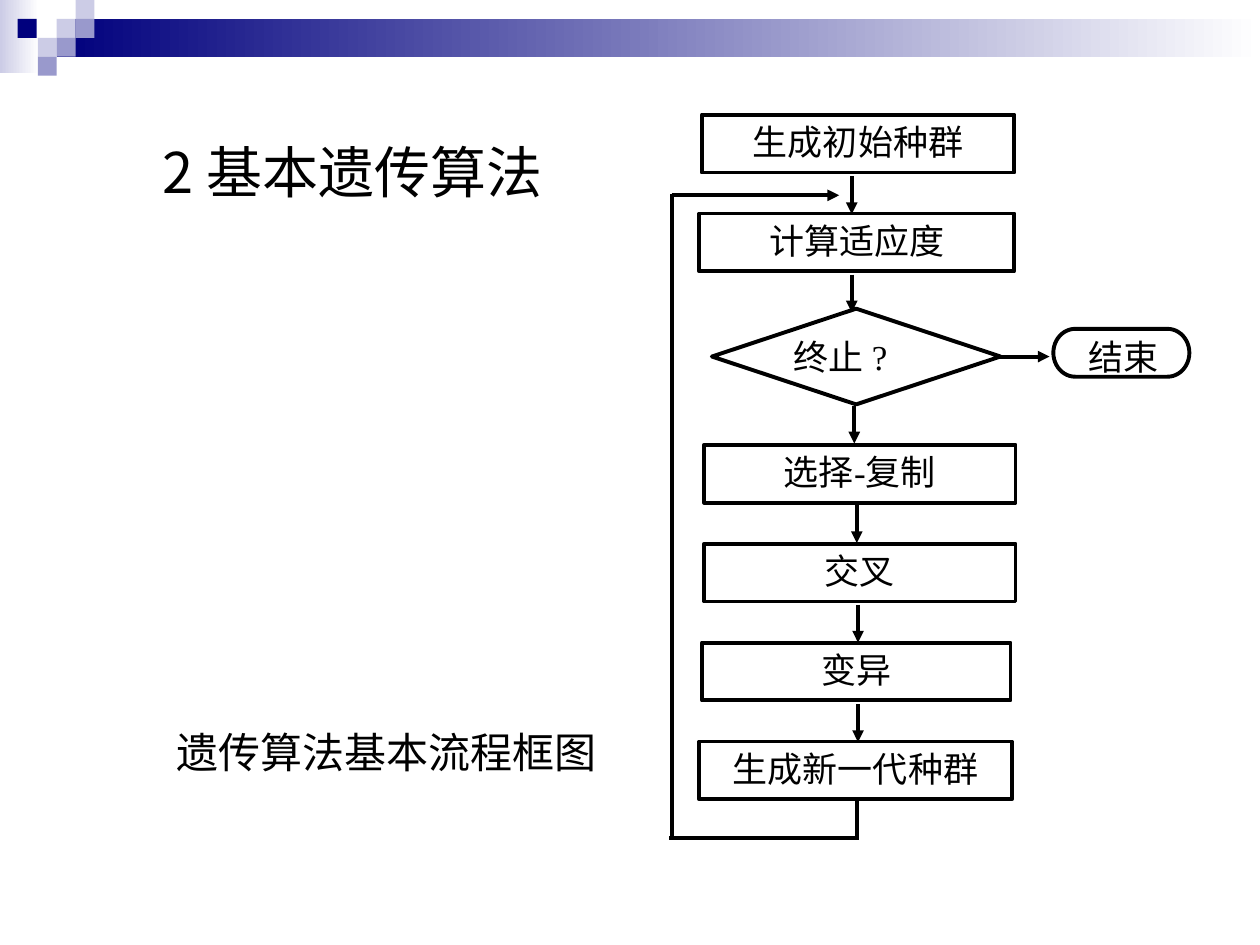
"""Builds the slide on the basic genetic algorithm with its flow chart."""
from lxml.etree import SubElement
from pptx import Presentation
from pptx.dml.color import RGBColor
from pptx.enum.shapes import MSO_CONNECTOR, MSO_SHAPE
from pptx.enum.text import MSO_ANCHOR, PP_ALIGN
from pptx.oxml.ns import qn
from pptx.util import Inches, Pt

BLACK = RGBColor(0x00, 0x00, 0x00)
WHITE = RGBColor(0xFF, 0xFF, 0xFF)
NAVY = RGBColor(0x00, 0x00, 0x7D)
LAVENDER = RGBColor(0xCC, 0xCC, 0xE6)
PERIWINKLE = RGBColor(0x99, 0x99, 0xCC)
SANS = "Noto Sans CJK SC"
SERIF = "Times New Roman"

TITLE = "2 基本遗传算法"
CAPTION = "遗传算法基本流程框图"
BANDS = [((0, 0, 0.31, 0.58), LAVENDER), ((0.45, 0.15, 9.55, 0.3), NAVY)]
TILE = 0.15
TILES = [
    (0.45, 0.15, LAVENDER), (0.6, 0, LAVENDER), (0.6, 0.15, PERIWINKLE),
    (0.3, 0.3, LAVENDER), (0.14, 0.15, NAVY), (0.45, 0.3, PERIWINKLE),
    (0.3, 0.45, PERIWINKLE),
]
STEP_HEIGHT, STEP_PITCH = 0.46, 0.785
STEP_RUNS = [
    (0.91, [("生成初始种群", 5.57, 2.48), ("计算适应度", 5.55, 2.5)]),
    (3.53, [("选择-复制", 5.59, 2.47), ("交叉", 5.59, 2.47),
            ("变异", 5.57, 2.45), ("生成新一代种群", 5.55, 2.48)]),
]
NODES = [
    (MSO_SHAPE.FLOWCHART_DECISION, (5.65, 2.45, 2.29, 0.76),
     "终止 ?", (6.3, 2.66, 1.15, 0.3), PP_ALIGN.JUSTIFY),
    (MSO_SHAPE.FLOWCHART_TERMINATOR, (8.36, 2.61, 1.08, 0.38),
     "结束", (8.63, 2.66, 0.57, 0.3), PP_ALIGN.CENTER),
]
DOWN_LENGTH = 0.3
DOWN_ARROWS = [(6.76, 1.4), (6.76, 2.18), (6.78, 3.22),
               (6.8, 4.01), (6.81, 4.8), (6.81, 5.59)]
EXIT_ARROW = (7.94, 2.83, 8.33, 2.83)
LOOP = [(6.8, 6.36, 6.8, 6.67), (6.8, 6.65, 5.31, 6.65), (5.33, 6.64, 5.33, 1.54)]
LOOP_ARROW = (5.33, 1.55, 6.66, 1.55)


def write(holder, text, size=20, font=SERIF, align=PP_ALIGN.CENTER,
          margins=(0.1, 0.05, 0.1, 0.05), wrap=True):
    frame = holder.text_frame
    frame.word_wrap = wrap
    frame.vertical_anchor = MSO_ANCHOR.TOP
    (frame.margin_left, frame.margin_top,
     frame.margin_right, frame.margin_bottom) = map(Inches, margins)
    paragraph = frame.paragraphs[0]
    paragraph.alignment = align
    run = paragraph.add_run()
    run.text = text
    run.font.size = Pt(size)
    run.font.color.rgb = BLACK
    run.font.name = font
    SubElement(run.font._element, qn("a:ea")).set("typeface", SANS)


def add_block(slide, kind, place, fill, line=None):
    block = slide.shapes.add_shape(kind, *map(Inches, place))
    block.shadow.inherit = False
    block.fill.solid()
    block.fill.fore_color.rgb = fill
    if line is None:
        block.line.fill.background()
    else:
        block.line.color.rgb = line
        block.line.width = Pt(2.25)
    return block


def add_line(slide, ends, arrow=False):
    connector = slide.shapes.add_connector(MSO_CONNECTOR.STRAIGHT, *map(Inches, ends))
    connector.line.color.rgb = BLACK
    connector.line.width = Pt(2.25)
    if arrow:
        SubElement(connector.line._get_or_add_ln(), qn("a:tailEnd")).set("type", "triangle")
    SubElement(connector._element.spPr, qn("a:effectLst"))


def add_header(slide):
    for place, color in BANDS:
        band = add_block(slide, MSO_SHAPE.RECTANGLE, place, color)
        band.fill.gradient()
        band.fill.gradient_angle = 0
        for stop, shade in zip(band.fill.gradient_stops, (color, WHITE)):
            stop.color.rgb = shade
    for left, top, color in TILES:
        add_block(slide, MSO_SHAPE.RECTANGLE, (left, top, TILE, TILE), color)


def add_flow(slide):
    add_line(slide, EXIT_ARROW, arrow=True)
    for first_top, steps in STEP_RUNS:
        for index, (text, left, width) in enumerate(steps):
            place = (left, first_top + index * STEP_PITCH, width, STEP_HEIGHT)
            write(add_block(slide, MSO_SHAPE.RECTANGLE, place, WHITE, BLACK), text)
    for kind, place, text, label_place, align in NODES:
        add_block(slide, kind, place, WHITE, BLACK)
        label = slide.shapes.add_textbox(*map(Inches, label_place))
        write(label, text, align=align, margins=(0, 0, 0, 0))
    for x, top in DOWN_ARROWS:
        add_line(slide, (x, top, x, top + DOWN_LENGTH), arrow=True)
    for ends in LOOP:
        add_line(slide, ends)
    add_line(slide, LOOP_ARROW, arrow=True)


def main():
    deck = Presentation()
    deck.slide_width, deck.slide_height = Inches(10), Inches(7.5)
    slide = deck.slides.add_slide(deck.slide_layouts[5])
    add_header(slide)
    title = slide.shapes.title
    title.left, title.top, title.width, title.height = map(Inches, (1.19, 1.04, 3.44, 0.64))
    write(title, TITLE, size=32, font=SANS, align=PP_ALIGN.LEFT, wrap=False)
    caption = slide.shapes.add_textbox(*map(Inches, (1.22, 5.72, 3.78, 0.45)))
    write(caption, CAPTION, size=24, align=PP_ALIGN.JUSTIFY, margins=(0.18, 0.05, 0.1, 0.05))
    add_flow(slide)
    deck.save("out.pptx")


if __name__ == "__main__":
    main()
